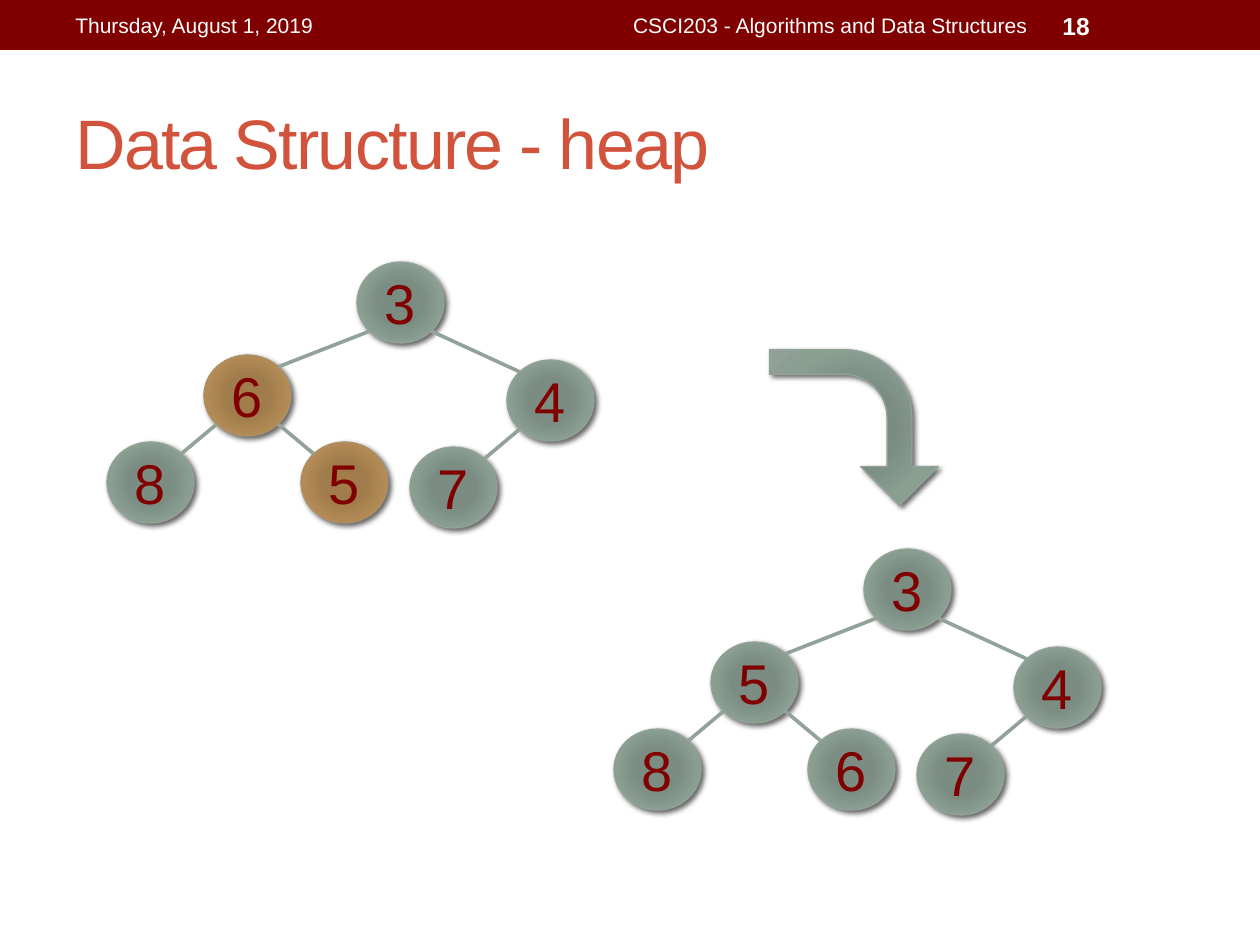
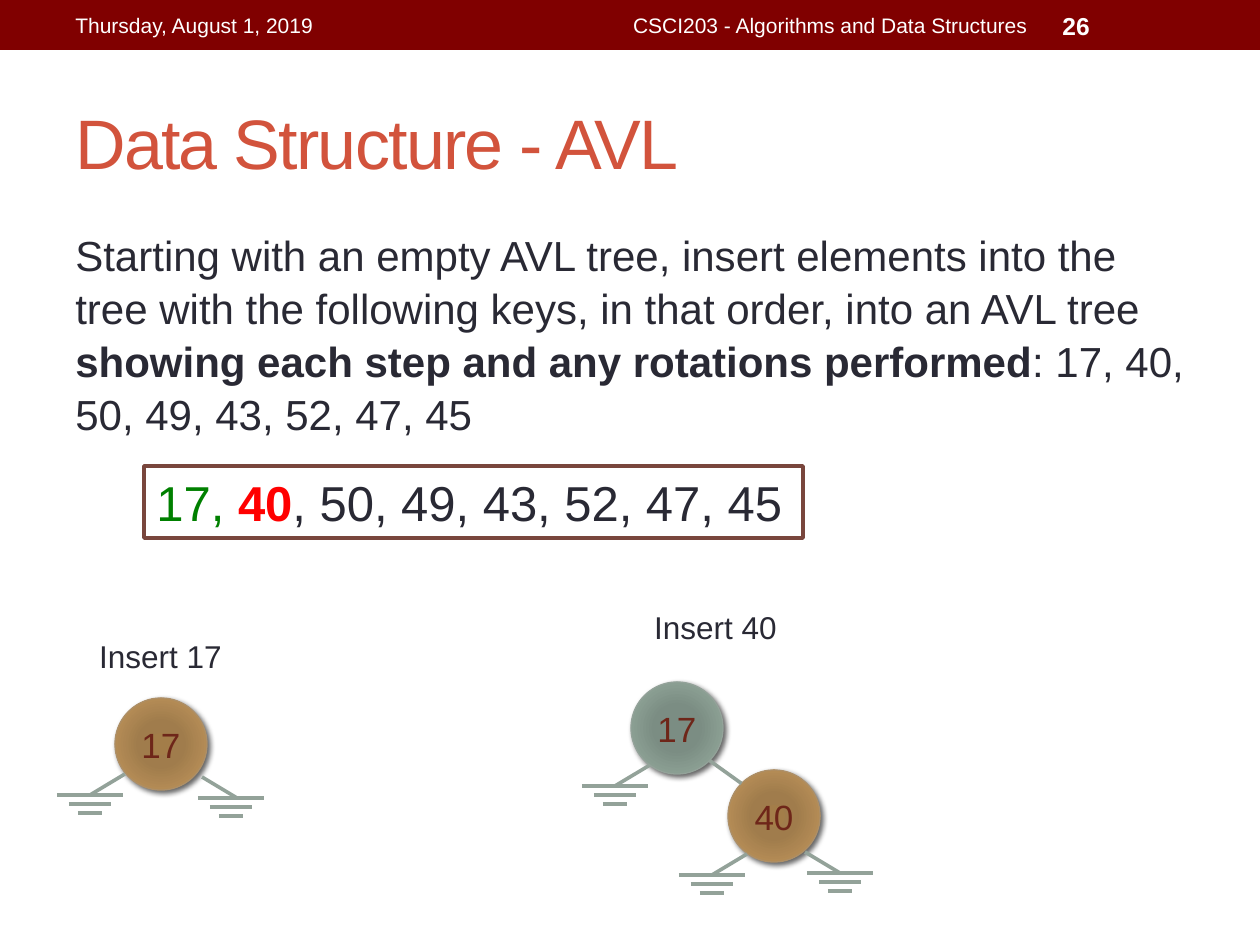
from lxml import etree
from math import sqrt
from pptx import Presentation
from pptx.dml.color import RGBColor
from pptx.enum.shapes import MSO_CONNECTOR, MSO_SHAPE
from pptx.enum.text import MSO_ANCHOR, PP_ALIGN
from pptx.oxml import parse_xml
from pptx.oxml.ns import nsdecls, qn
from pptx.util import Pt

PX = 914400 / 126
FONT = "Arial"
MAROON, TITLE_RED, INK, WHITE = "800000", "D2533C", "292934", "FFFFFF"
SAGE, RUST, NODE_INK = "93A299", "79463D", "6E2619"
LINE_PT = 2.08

# gradient stops by percent; the last stop is also the outline colour
PLAIN = {0: "7B8E82", 34: "7B8D83", 70: "8A9E92", 100: SAGE}
MARKED = {0: "A37D49", 34: "A07C4C", 70: "B38B55", 100: "AD8F67"}

DATE = "Thursday, August 1, 2019"
COURSE = "CSCI203 - Algorithms and Data Structures"

# heap nodes in level order: offset of each place from the root
HEAP_PLACES = [(0, 0), (-153, 93), (150, 98), (-250, 180), (-56, 180), (53, 185)]
HEAP_NODE = (87, 81)
HEAPS = [
    {"root": (357, 262), "keys": [3, 6, 4, 8, 5, 7], "marked": {6, 5}},
    {"root": (864, 549), "keys": [3, 5, 4, 8, 6, 7], "marked": set()},
]
SWAP_ARROW = (776, 343, 156, 169)
SWAP_ARROW_ADJUST = (0.159, 0.25, 0.25, 0.438)

TASK = [
    ("Starting with an empty AVL tree, insert elements into the tree with the "
     "following keys, in that order, into an AVL tree ", INK, False),
    ("showing each step and any rotations performed", INK, True),
    (": 17, 40, 50, 49, 43, 52, 47, 45", INK, False),
]
KEY_PROGRESS = [
    ("17, ", "008000", False),
    ("40", "FF0000", True),
    (", 50, 49, 43, 52, 47, 45", INK, False),
]
AVL_NODE = (92, 92)
# empty subtrees: stub start, direction of the stub, centre of the bars
AVL_STEPS = [
    {"caption": "Insert 17", "caption_at": (37, 631),
     "nodes": [(17, 115, 698, MARKED)],
     "empties": [(125, 774, -1, 90), (202, 777, 1, 231)]},
    {"caption": "Insert 40", "caption_at": (592, 602),
     "nodes": [(17, 631, 682, PLAIN), (40, 728, 770, MARKED)],
     "empties": [(650, 765, -1, 615), (747, 854, -1, 712), (805, 852, 1, 840)]},
]
STUB = (35, 21)
BAR_WIDTHS = (66, 42, 24)
BAR_GAP = 9


def px(*lengths):
    return [round(length * PX) for length in lengths]


def color(hex_string):
    return RGBColor.from_string(hex_string)


def write(shape, runs, size, align=PP_ALIGN.LEFT, anchor=MSO_ANCHOR.MIDDLE,
          wrap=True, tracking=0, line_spacing=None):
    """Fill a shape with one paragraph of (text, colour, bold) runs."""
    frame = shape.text_frame
    frame.word_wrap = wrap
    frame.vertical_anchor = anchor
    paragraph = frame.paragraphs[0]
    paragraph.alignment = align
    if line_spacing:
        paragraph.line_spacing = line_spacing
    for text, ink, bold in runs:
        run = paragraph.add_run()
        run.text = text
        run.font.name, run.font.size, run.font.bold = FONT, Pt(size), bold
        run.font.color.rgb = color(ink)
        if tracking:
            run._r.get_or_add_rPr().set("spc", str(tracking * 100))


def add_text(slide, box, runs, size, **options):
    write(slide.shapes.add_textbox(*px(*box)), runs, size, **options)


def add_flat(slide, box, fill, outline=None):
    rectangle = slide.shapes.add_shape(MSO_SHAPE.RECTANGLE, *px(*box))
    rectangle.shadow.inherit = False
    rectangle.fill.solid()
    rectangle.fill.fore_color.rgb = color(fill)
    if outline:
        rectangle.line.color.rgb = color(outline)
        rectangle.line.width = Pt(LINE_PT)
    else:
        rectangle.line.fill.background()
    return rectangle


def add_glossy(slide, preset, box, stops):
    """Add a shape with a radial gradient and a soft shadow."""
    shape = slide.shapes.add_shape(preset, *px(*box))
    shape.line.color.rgb = color(stops[100])
    shape.line.width = Pt(0.75)
    stop_xml = "".join(
        f'<a:gs pos="{percent * 1000}"><a:srgbClr val="{tone}"/></a:gs>'
        for percent, tone in stops.items())
    properties = shape._element.spPr
    properties.find(qn("a:prstGeom")).addnext(parse_xml(
        f'<a:gradFill {nsdecls("a")} rotWithShape="1"><a:gsLst>{stop_xml}</a:gsLst>'
        '<a:path path="circle"><a:fillToRect l="100000" t="100000" r="100000" '
        'b="100000"/></a:path></a:gradFill>'))
    properties.append(parse_xml(
        f'<a:effectLst {nsdecls("a")}><a:outerShdw blurRad="{Pt(3)}" dist="{Pt(2)}" '
        'dir="2700000" rotWithShape="0"><a:srgbClr val="000000">'
        '<a:alpha val="60000"/></a:srgbClr></a:outerShdw></a:effectLst>'))
    return shape


def add_node(slide, key, box, stops, size, ink):
    node = add_glossy(slide, MSO_SHAPE.OVAL, box, stops)
    write(node, [(str(key), ink, False)], size, align=PP_ALIGN.CENTER, wrap=False)


def add_line(slide, start, end):
    line = slide.shapes.add_connector(MSO_CONNECTOR.STRAIGHT, *px(*start, *end))
    line.line.color.rgb = color(SAGE)
    line.line.width = Pt(LINE_PT)
    etree.SubElement(line._element.spPr, qn("a:effectLst"))


def rim(box, across, down):
    """Diagonal point on the rim of the ellipse in box."""
    left, top, width, height = box
    return (left + width / 2 * (1 + across / sqrt(2)),
            top + height / 2 * (1 + down / sqrt(2)))


def add_edge(slide, parent, child):
    side = 1 if child[0] > parent[0] else -1
    add_line(slide, rim(parent, side, 1), rim(child, -side, -1))


def add_empty_subtree(slide, x, y, side, bar_center):
    bar_y = y + STUB[1]
    add_line(slide, (x, y), (x + side * STUB[0], bar_y))
    for row, width in enumerate(BAR_WIDTHS):
        level = bar_y + row * BAR_GAP
        add_line(slide, (bar_center - width / 2, level), (bar_center + width / 2, level))


def add_heap(slide, heap):
    left, top = heap["root"]
    boxes = [(left + dx, top + dy, *HEAP_NODE) for dx, dy in HEAP_PLACES]
    for key, box in zip(heap["keys"], boxes):
        stops = MARKED if key in heap["marked"] else PLAIN
        add_node(slide, key, box, stops, 32, MAROON)
    for index, box in enumerate(boxes[1:], 1):
        add_edge(slide, boxes[(index - 1) // 2], box)


def add_avl_step(slide, step):
    add_text(slide, (*step["caption_at"], 247, 50), [(step["caption"], INK, False)], 18,
             align=PP_ALIGN.CENTER, anchor=MSO_ANCHOR.TOP)
    boxes = [(x, y, *AVL_NODE) for _, x, y, _ in step["nodes"]]
    for (key, _, _, stops), box in zip(step["nodes"], boxes):
        add_node(slide, key, box, stops, 20, NODE_INK)
    for parent, child in zip(boxes, boxes[1:]):
        add_edge(slide, parent, child)
    for empty in step["empties"]:
        add_empty_subtree(slide, *empty)


def new_slide(deck, title, number):
    """Add a slide with the band, its three texts and the title."""
    slide = deck.slides.add_slide(deck.slide_layouts[6])
    add_flat(slide, (0, 0, 1260, 50), MAROON)
    add_text(slide, (63, 73, 1134, 136), [(title, TITLE_RED, False)], 40, tracking=-1)
    add_text(slide, (63, 3, 399, 45), [(DATE, WHITE, False)], 12)
    add_text(slide, (473, 3, 567, 45), [(COURSE, WHITE, False)], 12, align=PP_ALIGN.RIGHT)
    add_text(slide, (1050, 3, 147, 45), [(number, WHITE, True)], 14)
    return slide


def build_heap_slide(deck):
    slide = new_slide(deck, "Data Structure - heap", "18")
    for heap in HEAPS:
        add_heap(slide, heap)
    arrow = add_glossy(slide, MSO_SHAPE.BENT_ARROW, SWAP_ARROW, PLAIN)
    arrow.rotation = 90
    for index, value in enumerate(SWAP_ARROW_ADJUST):
        arrow.adjustments[index] = value


def build_avl_slide(deck):
    slide = new_slide(deck, "Data Structure - AVL", "26")
    add_text(slide, (63, 221, 1134, 672), TASK, 24, anchor=MSO_ANCHOR.TOP,
             line_spacing=1.05)
    progress = add_flat(slide, (144, 466, 659, 72), WHITE, RUST)
    write(progress, KEY_PROGRESS, 28, anchor=MSO_ANCHOR.TOP)
    for step in AVL_STEPS:
        add_avl_step(slide, step)


def main():
    deck = Presentation()
    deck.slide_width, deck.slide_height = px(1260, 945)
    build_heap_slide(deck)
    build_avl_slide(deck)
    deck.save("out.pptx")


if __name__ == "__main__":
    main()
